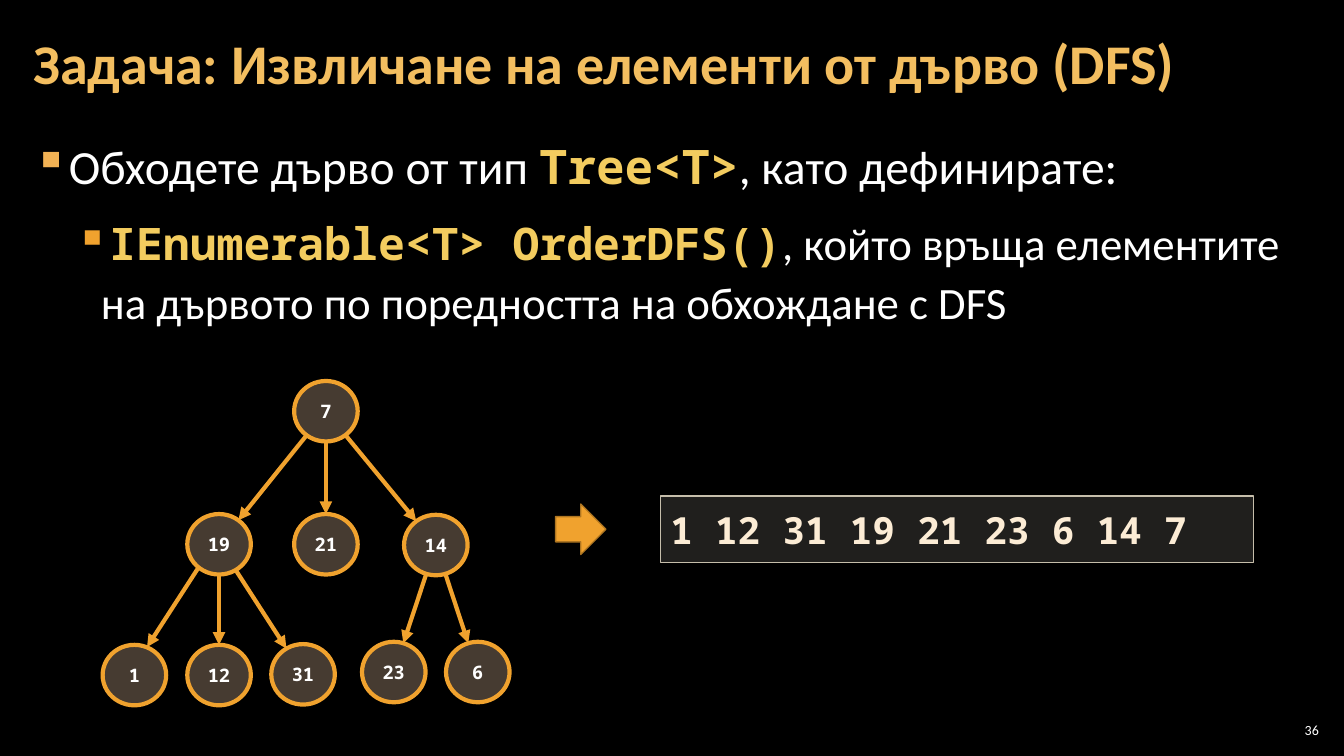
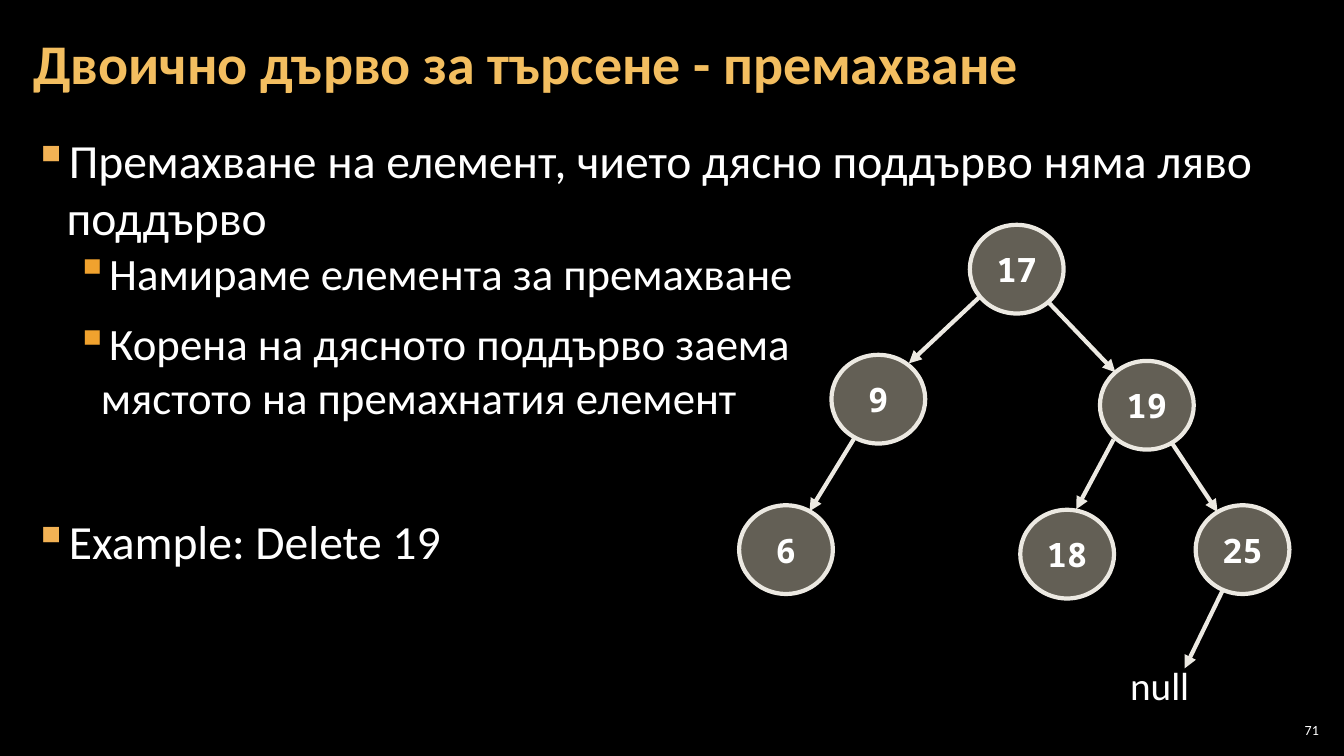
from dataclasses import dataclass
from math import hypot

from lxml.etree import SubElement
from pptx import Presentation
from pptx.dml.color import RGBColor
from pptx.enum.shapes import MSO_CONNECTOR, MSO_SHAPE
from pptx.enum.text import MSO_ANCHOR, PP_ALIGN
from pptx.oxml.ns import qn
from pptx.util import Inches, Pt


@dataclass(frozen=True)
class Theme:
    sans: str = "Calibri"
    mono: str = "Noto Sans Mono"
    background: str = "000000"
    text: str = "FFFFFF"
    title: str = "F3BE60"
    code: str = "F3CC5F"
    accent: str = "F0A22E"
    accent_edge: str = "AF7621"
    result: str = "FCECD5"
    result_fill: str = "D9D4C6"
    result_edge: str = "C6BEAB"
    bullets: tuple = ("F2B254", "F0A22E")
    title_size: float = 40
    level_sizes: tuple = (34, 32)
    result_size: float = 26.7
    null_size: float = 28
    number_size: float = 10
    line: float = 3


theme = Theme()
BULLET_INDENTS = ((0.33, -0.33), (0.67, -0.25))  # left margin, first line


def write(frame, text, size, color=theme.text, font=theme.sans, bold=False,
          align=PP_ALIGN.LEFT, spacing=1.0, before=0, level=None):
    """Add a paragraph; parts between backticks are code, level adds a bullet."""
    paragraph = frame.add_paragraph() if frame.text else frame.paragraphs[0]
    paragraph.alignment = align
    paragraph.line_spacing = spacing
    paragraph.space_before = Pt(before)
    if level is not None:
        margin, first_line = BULLET_INDENTS[level]
        paragraph.level = level
        props = paragraph._p.get_or_add_pPr()
        props.set("marL", str(Inches(margin)))
        props.set("indent", str(Inches(first_line)))
        bullet_color = SubElement(props, qn("a:buClr"))
        SubElement(bullet_color, qn("a:srgbClr"), val=theme.bullets[level])
        SubElement(props, qn("a:buChar"), char="▪")
    for line_index, line in enumerate(text.split("\n")):
        if line_index:
            paragraph.add_line_break()
        for part_index, part in enumerate(line.split("`")):
            if not part:
                continue
            is_code = part_index % 2 == 1
            run = paragraph.add_run()
            run.text = part
            run.font.size = Pt(size)
            run.font.name = theme.mono if is_code else font
            run.font.bold = bold or is_code
            run.font.color.rgb = RGBColor.from_string(theme.code if is_code else color)


def place(slide, kind, area, fill=None, alpha=100, edge=None, width=1,
          inset=(0.1, 0.05), anchor=MSO_ANCHOR.TOP):
    """Add a shape (a text box if kind is None); area is in percent of the slide."""
    left, top, wide, high = area
    bounds = [int(v) for v in (left * col, top * row, wide * col, high * row)]
    if kind is None:
        shape = slide.shapes.add_textbox(*bounds)
    else:
        shape = slide.shapes.add_shape(kind, *bounds)
        shape.shadow.inherit = False
        shape.fill.solid()
        shape.fill.fore_color.rgb = RGBColor.from_string(fill)
        if alpha < 100:
            fill_color = shape.element.xpath("p:spPr/a:solidFill/a:srgbClr")[0]
            SubElement(fill_color, qn("a:alpha"), val=str(alpha * 1000))
        shape.line.color.rgb = RGBColor.from_string(edge)
        shape.line.width = Pt(width)
    frame = shape.text_frame
    frame.word_wrap = True
    frame.vertical_anchor = anchor
    frame.margin_left = frame.margin_right = Inches(inset[0])
    frame.margin_top = frame.margin_bottom = Inches(inset[1])
    return frame


# Content: body lines are (level, text, space before);
# tree nodes are value: (centre x, centre y, parent, arrow shift), in percent
lessons = [
    dict(
        number="36",
        title="Задача: Извличане на елементи от дърво (DFS)",
        spacing=1.1,
        body=[
            (0, "Обходете дърво от тип `Tree<T>`, като дефинирате:", 0),
            (1, "`IEnumerable<T> OrderDFS()`, който връща елементите "
                "на дървото по поредността на обхождане с DFS", 12),
        ],
        node=dict(size=(4.73, 8), fill="EBC6A3", alpha=30, edge=theme.accent, text=13.3),
        tree={
            "7": (24.25, 54.4, None, (0, 0)),
            "19": (16.3, 72, "7", (0, 0)),
            "21": (24.25, 72, "7", (0, 0)),
            "14": (32.43, 72.1, "7", (0, 0)),
            "1": (10, 89.3, "19", (-0.3, -0.3)),
            "12": (16.3, 89.3, "19", (0, 0)),
            "31": (22.55, 89.2, "19", (0, 0)),
            "23": (29.3, 88.9, "14", (0, 0)),
            "6": (35.55, 88.9, "14", (0, 0)),
        },
    ),
    dict(
        number="71",
        title="Двоично дърво за търсене - премахване",
        spacing=1.0,
        body=[
            (0, "Премахване на елемент, чието дясно поддърво няма ляво поддърво", 0),
            (1, "Намираме елемента за премахване", 0),
            (1, "Корена на дясното поддърво заема\nмястото на премахнатия елемент", 12),
            (0, "Example: Delete 19", 63),
        ],
        node=dict(size=(6.98, 11.73), fill="C6BEAB", alpha=50, edge="ECE9E2", text=24),
        tree={
            "17": (75.65, 35.6, None, (0, 0)),
            "9": (65.35, 52.8, "17", (-0.2, -0.6)),
            "19": (85.33, 53.6, "17", (0, 0)),
            "6": (58.48, 72.7, "9", (0, 0)),
            "18": (79.4, 73.3, "19", (-0.9, -0.7)),
            "25": (92.45, 72.7, "19", (0, 0)),
            "null": (88.15, 88.4, "25", (0, 0)),
        },
    ),
]

presentation = Presentation()
presentation.slide_width, presentation.slide_height = Inches(13.33), Inches(7.5)
col, row = presentation.slide_width / 100, presentation.slide_height / 100
backdrop = presentation.slide_master.background.fill
backdrop.solid()
backdrop.fore_color.rgb = RGBColor.from_string(theme.background)

for lesson in lessons:
    slide = presentation.slides.add_slide(presentation.slide_layouts[6])

    # Body, title and slide number
    body = place(slide, None, (1.58, 16.8, 96.85, 81.2), inset=(0.12, 0.04))
    for level, text, before in lesson["body"]:
        write(body, text, theme.level_sizes[level], level=level,
              before=before, spacing=lesson["spacing"])
    heading = place(slide, None, (1.58, 0.67, 95.28, 16.13),
                    inset=(0.12, 0.04), anchor=MSO_ANCHOR.MIDDLE)
    write(heading, lesson["title"], theme.title_size, theme.title, bold=True, spacing=0.9)
    number = place(slide, None, (94.9, 95.2, 3.53, 2.8),
                   inset=(0.04, 0.04), anchor=MSO_ANCHOR.MIDDLE)
    write(number, lesson["number"], theme.number_size, align=PP_ALIGN.RIGHT)

    # Tree: arrows run along the line of centres, from rim to rim
    node, tree = lesson["node"], lesson["tree"]
    wide, high = node["size"]
    for value, (x, y, parent, (shift_x, shift_y)) in tree.items():
        if parent:
            parent_x, parent_y = tree[parent][:2]
            dx, dy = x - parent_x, y - parent_y
            rim = 1 / hypot(dx / (wide / 2), dy / (high / 2))
            end_rim = 0 if value == "null" else rim
            arrow = slide.shapes.add_connector(
                MSO_CONNECTOR.STRAIGHT,
                int((parent_x + rim * dx + shift_x) * col),
                int((parent_y + rim * dy + shift_y) * row),
                int((x - end_rim * dx + shift_x) * col),
                int((y - end_rim * dy + shift_y) * row))
            arrow.line.color.rgb = RGBColor.from_string(node["edge"])
            arrow.line.width = Pt(theme.line)
            SubElement(arrow.line._get_or_add_ln(), qn("a:tailEnd"), type="triangle")
            SubElement(arrow.element.spPr, qn("a:effectLst"))
        if value == "null":
            write(place(slide, None, (83.35, 86.8, 7.5, 7.6)), value, theme.null_size)
        else:
            circle = place(slide, MSO_SHAPE.OVAL, (x - wide / 2, y - high / 2, wide, high),
                           node["fill"], node["alpha"], node["edge"], theme.line,
                           anchor=MSO_ANCHOR.MIDDLE)
            write(circle, value, node["text"], font=theme.mono, bold=True,
                  align=PP_ALIGN.CENTER)

# Traversal result beside the first tree
first_slide = presentation.slides[0]
place(first_slide, MSO_SHAPE.RIGHT_ARROW, (41.34, 66.67, 3.75, 6.67),
      theme.accent, edge=theme.accent_edge)
result = place(first_slide, MSO_SHAPE.RECTANGLE, (49.14, 65.6, 44.11, 8.8),
               theme.result_fill, 15, theme.result_edge)
write(result, "1 12 31 19 21 23 6 14 7", theme.result_size, theme.result,
      font=theme.mono, bold=True, spacing=1.15)

presentation.save("out.pptx")
